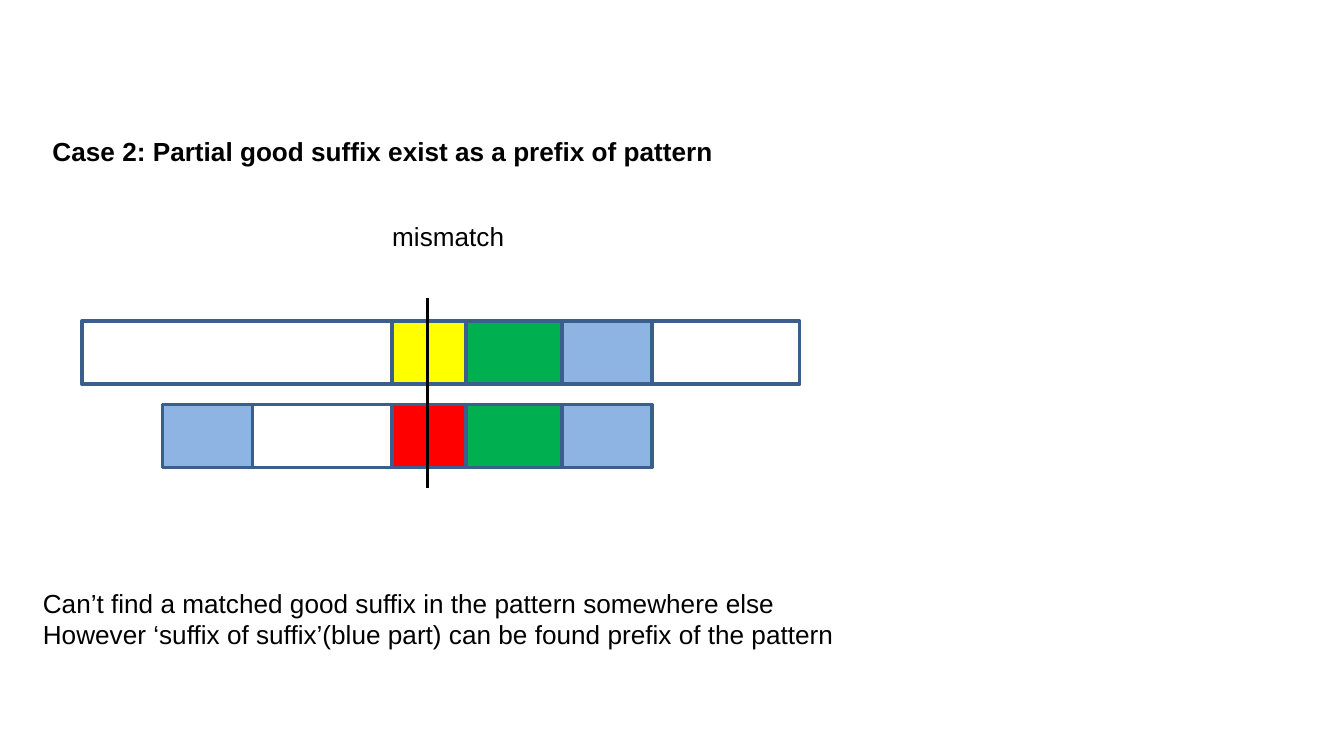
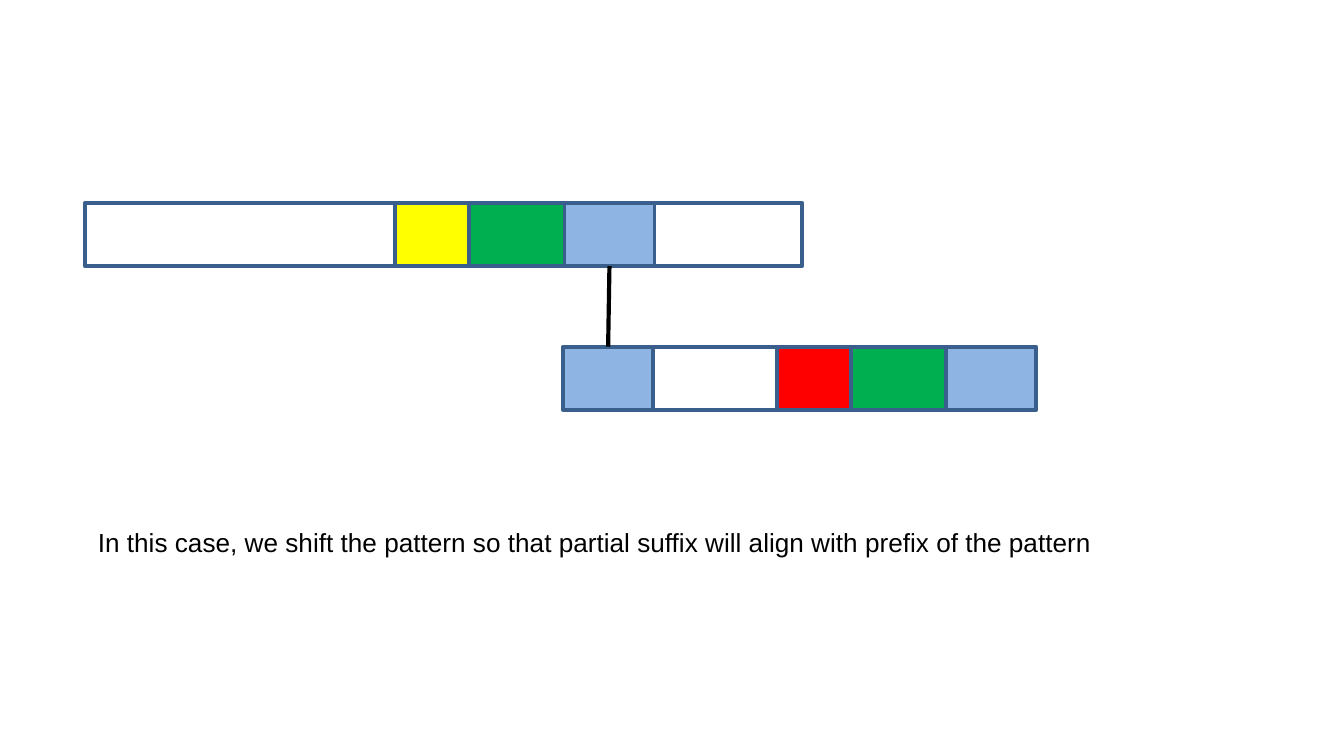
from dataclasses import dataclass

from lxml.etree import SubElement
from pptx import Presentation
from pptx.dml.color import RGBColor
from pptx.enum.shapes import MSO_CONNECTOR, MSO_SHAPE
from pptx.enum.text import MSO_ANCHOR, MSO_AUTO_SIZE, PP_ALIGN
from pptx.oxml.ns import qn
from pptx.util import Emu, Pt


@dataclass(frozen=True)
class Theme:
    font: str = "Arial"
    size: int = 14
    ink: str = "000000"
    edge: str = "3A5F8C"
    edge_width: float = 2
    yellow: str = "FFFF00"
    red: str = "FF0000"
    green: str = "00B050"
    blue: str = "8EB4E3"


THEME = Theme()
TITLE_ONLY, BLANK = 5, 6
CELL_HEIGHT = 47

# Each cell: width, fill (None leaves it open)
TEXT = [(231, None), (55, THEME.yellow), (71, THEME.green),
        (67, THEME.blue), (110, None)]
PATTERN = [(67, THEME.blue), (104, None), (55, THEME.red),
           (71, THEME.green), (67, THEME.blue)]


def px(count):
    """Turn px, 100 to the inch, into EMU."""
    return Emu(count * 9144)


def place(shape, box):
    shape.left, shape.top, shape.width, shape.height = map(px, box)


def write(shape, lines, bold=False):
    frame = shape.text_frame
    frame.word_wrap = False
    frame.auto_size = MSO_AUTO_SIZE.SHAPE_TO_FIT_TEXT
    frame.vertical_anchor = MSO_ANCHOR.TOP
    for index, line in enumerate(lines):
        para = frame.add_paragraph() if index else frame.paragraphs[0]
        para.alignment = PP_ALIGN.LEFT
        run = para.add_run()
        run.text = line
        font = run.font
        font.name, font.size, font.bold = THEME.font, Pt(THEME.size), bold
        font.color.rgb = RGBColor.from_string(THEME.ink)


def add_title(slide, box, line):
    title = slide.shapes.title
    place(title, box)
    write(title, [line], bold=True)


def add_text(shapes, box, *lines):
    write(shapes.add_textbox(*map(px, box)), lines)


def add_line(shapes, start, end, width):
    line = shapes.add_connector(MSO_CONNECTOR.STRAIGHT,
                                *map(px, (*start, *end)))
    line.line.color.rgb = RGBColor.from_string(THEME.ink)
    line.line.width = Pt(width)
    SubElement(line._element.spPr, qn("a:effectLst"))
    return line


def add_cell(shapes, box, fill):
    cell = shapes.add_shape(MSO_SHAPE.RECTANGLE, *map(px, box))
    cell.shadow.inherit = False
    cell.line.color.rgb = RGBColor.from_string(THEME.edge)
    cell.line.width = Pt(THEME.edge_width)
    if fill:
        cell.fill.solid()
        cell.fill.fore_color.rgb = RGBColor.from_string(fill)
    else:
        cell.fill.background()
    return cell


def add_bar(shapes, left, top, cells, lap=0):
    """Lay cells end to end; the second one starts lap px under the first."""
    spots = []
    for index, (width, fill) in enumerate(cells):
        if index == 1:
            left -= lap
        spots.append((index, (left, top, width, CELL_HEIGHT), fill))
        left += width
    spots.sort(key=lambda spot: spot[2] is not None)  # open cells at the back
    return {index: add_cell(shapes, box, fill) for index, box, fill in spots}


def add_mismatch(slide, left, top):
    shapes = slide.shapes.add_group_shape().shapes
    add_bar(shapes, left, top + 80, TEXT)
    add_bar(shapes, left + 60, top + 142, PATTERN)
    add_line(shapes, (left + 257, top + 63), (left + 257, top + 204), 1.5)
    add_text(shapes, (left + 221, top, 104, 34), "mismatch")


def add_shift(slide, left, top):
    shapes = slide.shapes.add_group_shape().shapes
    text = add_bar(shapes, left, top, TEXT)
    pattern = add_bar(shapes, left + 356, top + 107, PATTERN, lap=12)
    link = add_line(shapes, (left, top), (left, top), 2.25)
    link.begin_connect(text[3], 2)
    link.end_connect(pattern[0], 0)


def build_case(deck):
    slide = deck.slides.add_slide(deck.slide_layouts[TITLE_ONLY])
    add_title(slide, (29, 96, 519, 34),
              "Case 2: Partial good suffix exist as a prefix of pattern")
    add_mismatch(slide, 61, 159)
    add_text(slide.shapes, (22, 432, 612, 57),
             "Can’t find a matched good suffix in the pattern somewhere else",
             "However ‘suffix of suffix’(blue part) can be found prefix"
             " of the pattern")


def build_shift(deck):
    slide = deck.slides.add_slide(deck.slide_layouts[BLANK])
    add_text(slide.shapes, (63, 387, 763, 34),
             "In this case, we shift the pattern so that partial suffix"
             " will align with prefix of the pattern")
    add_shift(slide, 63, 151)


def main():
    deck = Presentation()
    deck.slide_width = px(1000)
    deck.slide_height = Emu(deck.slide_width * 9 // 16)
    build_case(deck)
    build_shift(deck)
    deck.save("out.pptx")


if __name__ == "__main__":
    main()
